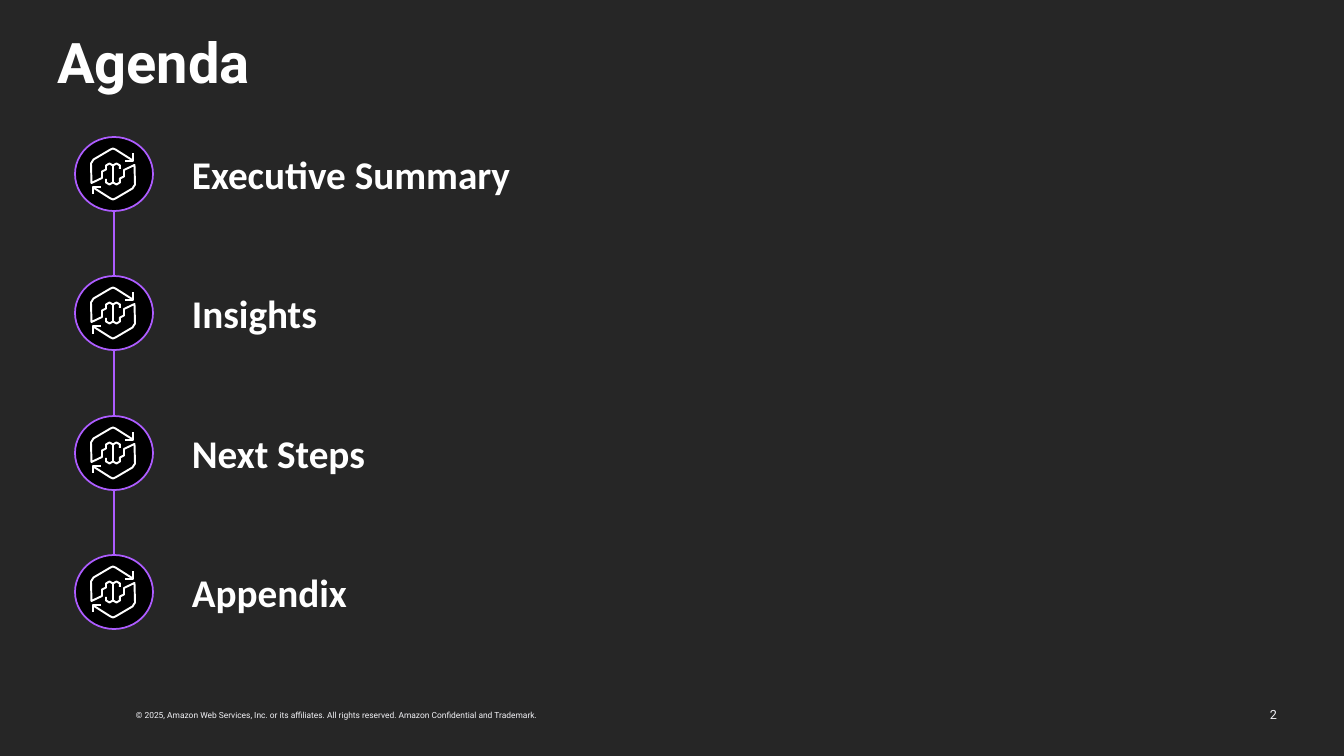
from lxml import etree
from pptx import Presentation
from pptx import util as u
from pptx.dml.color import RGBColor
from pptx.enum import shapes, text
from pptx.oxml import ns

WHITE = RGBColor(0xFF, 0xFF, 0xFF)
BLACK = RGBColor(0, 0, 0)
CHARCOAL = RGBColor(0x26, 0x26, 0x26)
PURPLE = RGBColor(0xAD, 0x5C, 0xFF)
PALE = RGBColor(0xF3, 0xF3, 0xF7)
PX = 914400 / 100.8


def px(*lengths):
    return [u.Emu(round(length * PX)) for length in lengths]


def write(shape, words, font_name, size, color, bold=False, align=text.PP_ALIGN.LEFT):
    frame = shape.text_frame
    frame.auto_size = text.MSO_AUTO_SIZE.NONE
    frame.word_wrap = True
    frame.vertical_anchor = text.MSO_ANCHOR.MIDDLE
    paragraph = frame.paragraphs[0]
    paragraph.alignment = align
    run = paragraph.add_run()
    run.text = words
    run.font.name = font_name
    run.font.size = u.Pt(size)
    run.font.bold = bold
    run.font.color.rgb = color
    return paragraph


presentation = Presentation()
presentation.slide_width, presentation.slide_height = px(1344, 756)
slide = presentation.slides.add_slide(presentation.slide_layouts[5])
slide.background.fill.solid()
slide.background.fill.fore_color.rgb = CHARCOAL

title = slide.shapes.title
title.left, title.top, title.width, title.height = px(47, 36, 818, 59)
write(title, "Agenda", "Roboto", 40, WHITE, bold=True).line_spacing = 0.9

copyright_box = slide.shapes.add_textbox(*px(126, 705, 434, 20))
write(copyright_box,
      "© 2025, Amazon Web Services, Inc. or its affiliates. "
      "All rights reserved. Amazon Confidential and Trademark.",
      "Roboto", 6, PALE)
copyright_box.text_frame.word_wrap = False
page_box = slide.shapes.add_textbox(*px(985, 694, 302, 40))
write(page_box, "2", "Roboto", 9, PALE, align=text.PP_ALIGN.RIGHT)

timeline = slide.shapes.add_connector(
    shapes.MSO_CONNECTOR.STRAIGHT, *px(114, 137, 114, 630))
timeline.line.color.rgb = PURPLE
timeline.line.width = u.Pt(1.25)
etree.SubElement(timeline._element.spPr, ns.qn("a:effectLst"))

BRAIN_HALF = [(-14, 10), (-14, 17), (-7, 21), (0, 17), (0, -17), (-7, -21),
              (-14, -17), (-14, -9), (-22, -5), (-22, 8), (-43, 18), (-44, -21),
              (-39, -29), (-5, -49), (0, -51), (5, -49), (38, -28)]
ARROWHEAD = [(24, -26), (40, -26), (40, -41)]
strokes = [[(turn * x, turn * y) for x, y in stroke]
           for turn in (1, -1) for stroke in (BRAIN_HALF, ARROWHEAD)]

agenda = ["Executive Summary", "Insights", "Next Steps", "Appendix"]
for index, topic in enumerate(agenda):
    top = 137 + index * 279 // 2
    group = slide.shapes.add_group_shape()

    label = group.shapes.add_textbox(*px(182, top + 1, 366, 72))
    write(label, topic, "Calibri", 28, WHITE, bold=True)

    circle = group.shapes.add_shape(
        shapes.MSO_SHAPE.OVAL, *px(75, top, 78, 74))
    circle.shadow.inherit = False
    circle.fill.solid()
    circle.fill.fore_color.rgb = BLACK
    circle.line.color.rgb = PURPLE
    circle.line.width = u.Pt(1.25)

    builder = group.shapes.build_freeform(*strokes[0][0], scale=PX / 2)
    for stroke in strokes:
        builder.move_to(*stroke[0])
        builder.add_line_segments(stroke[1:], close=False)
    icon = builder.convert_to_shape(*px(113, top + 37))
    icon.shadow.inherit = False
    icon.fill.background()
    icon.line.color.rgb = WHITE
    icon.line.width = u.Pt(1.4)

presentation.save("out.pptx")
